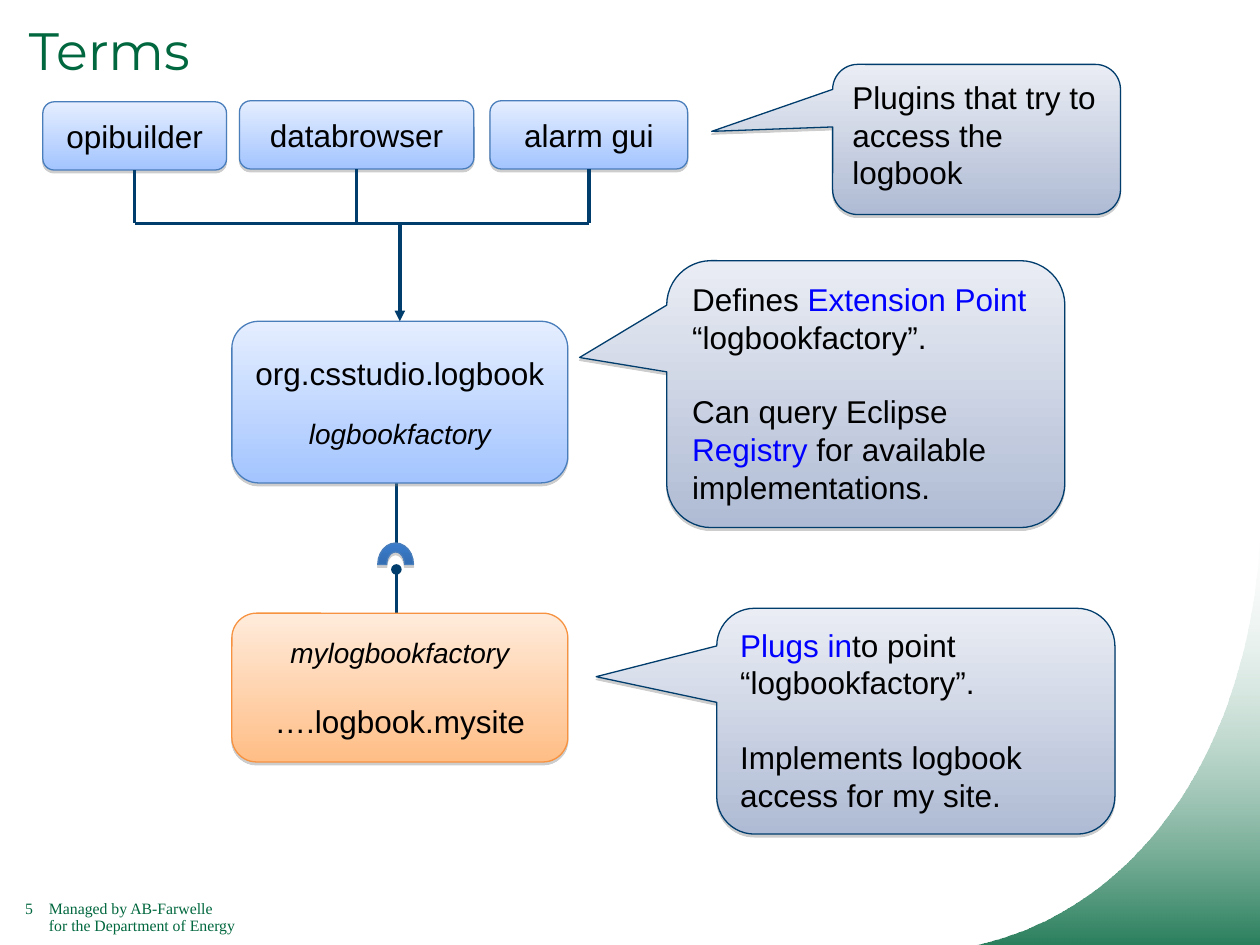
from lxml.etree import SubElement
from pptx import Presentation
from pptx.dml.color import RGBColor
from pptx.enum.shapes import MSO_CONNECTOR, MSO_SHAPE
from pptx.enum.text import MSO_ANCHOR, PP_ALIGN
from pptx.oxml.ns import qn
from pptx.util import Pt

THEME = {
    "font": "Arial", "title_font": "Montserrat", "footer_font": "Times New Roman",
    "title": 30, "body": 18, "point": 16, "footer": 9,
    "text": "000000", "term": "0000FF", "title_color": "00673E", "green": "01673E",
    "connector": "003D6C", "connector_width": 2, "outline_width": 0.75,
    # Top colour, bottom colour, outline
    "blue": ("E5EEFF", "A3C4FF", "4A7EBB"),
    "orange": ("FFEBDB", "FFBE86", "F69240"),
    "gray": ("EAEDF4", "AFBBD4", "003C6C"),
    "socket": ("3A7CCB", "2C5D98", "4A7EBB"),
}

TITLE = "Terms"
FOOTER = "5\tManaged by AB-Farwelle\vfor the Department of Energy"

# A paragraph is (runs, size, italic, space before); a run is (text, colour)
PLUGINS = [
    ("opibuilder", (24.5, 58.2, 105, 39)),
    ("databrowser", (136.8, 57.6, 134, 39)),
    ("alarm gui", (280, 57.6, 113, 39)),
]
LOGBOOK = [([("org.csstudio.logbook", "text")], "body", False, 0),
           ([("logbookfactory", "text")], "point", True, 14)]
MYSITE = [([("mylogbookfactory", "text")], "point", True, 0),
          ([("….logbook.mysite", "text")], "body", False, 18.4)]
CALLOUTS = [
    ((381, 149, 227.5, 152.5), (-0.719, -0.137), [
        ([("Defines ", "text"), ("Extension Point ", "term"),
          ("“logbookfactory”.", "text")], "body", False, 0),
        ([("Can query Eclipse ", "text"), ("Registry", "term"),
          (" for available implementations.", "text")], "body", False, 21)]),
    ((409.6, 347.6, 227.5, 129), (-0.803, -0.197), [
        ([("Plugs in", "term"), ("to point “logbookfactory”.", "text")],
         "body", False, 0),
        ([("Implements logbook access for my site.", "text")], "body", False, 21)]),
    ((475.8, 36.8, 164.5, 85.8), (-0.92, -0.054), [
        ([("Plugins that try to access the logbook", "text")], "body", False, 0)]),
]
LOGBOOK_BOX = (132.5, 183.6, 192, 92.4)
MYSITE_BOX = (132.5, 350.4, 192, 85)
SOCKET_BOX = (215.9, 310.3, 20.4, 24.5)
PIN_X, PIN_Y = 226.5, 325.4
BUS_Y = 127.6
# Bezier control points of the corner curve, from top right to bottom
CORNER = [(720, 285), (720, 420.5), (653.8, 518.4), (557.3, 540)]


def rgb(name):
    return RGBColor.from_string(THEME.get(name, name))


def gradient(sp, top, bottom):
    sp.fill.gradient()
    sp.fill.gradient_angle = 270
    stops = sp.fill.gradient_stops
    for stop, color, position in zip(stops, (top, bottom), (0, 1)):
        stop.color.rgb = rgb(color)
        stop.position = position


def style(sp, look, alpha=38):
    top, bottom, outline = THEME[look]
    gradient(sp, top, bottom)
    sp.line.color.rgb = rgb(outline)
    sp.line.width = Pt(THEME["outline_width"])
    # Hard shadow just below the shape
    sp.shadow.inherit = False
    effects = sp._element.spPr.find(qn("a:effectLst"))
    shadow = SubElement(effects, qn("a:outerShdw"), blurRad="0",
                        dist=str(Pt(1.6)), dir="5400000", rotWithShape="0")
    color = SubElement(shadow, qn("a:srgbClr"), val="808080")
    SubElement(color, qn("a:alpha"), val=str(alpha * 1000))


def write(sp, paragraphs, align, anchor):
    tf = sp.text_frame
    tf.word_wrap = True
    tf.vertical_anchor = anchor
    for i, (runs, size, italic, before) in enumerate(paragraphs):
        p = tf.paragraphs[0] if i == 0 else tf.add_paragraph()
        p.alignment = align
        if before:
            p.space_before = Pt(before)
        p.font.name, p.font.size = THEME["font"], Pt(THEME[size])
        p.font.italic = italic
        for text, color in runs:
            r = p.add_run()
            r.text = text
            r.font.color.rgb = rgb(color)


def add_shape(slide, kind, box, look):
    sp = slide.shapes.add_shape(kind, *map(Pt, box))
    style(sp, look)
    return sp


def add_box(slide, box, look, paragraphs):
    sp = add_shape(slide, MSO_SHAPE.ROUNDED_RECTANGLE, box, look)
    write(sp, paragraphs, PP_ALIGN.CENTER, MSO_ANCHOR.MIDDLE)
    return sp


def add_callout(slide, box, tip, paragraphs):
    sp = add_shape(slide, MSO_SHAPE.ROUNDED_RECTANGULAR_CALLOUT, box, "gray")
    sp.adjustments[0], sp.adjustments[1] = tip
    write(sp, paragraphs, PP_ALIGN.LEFT, MSO_ANCHOR.TOP)


def add_line(slide, x1, y1, x2, y2, end=None):
    line = slide.shapes.add_connector(MSO_CONNECTOR.STRAIGHT,
                                      *map(Pt, (x1, y1, x2, y2)))
    line.line.color.rgb = rgb("connector")
    line.line.width = Pt(THEME["connector_width"])
    if end:
        SubElement(line.line._get_or_add_ln(), qn("a:tailEnd"), type=end)
    SubElement(line._element.spPr, qn("a:effectLst"))
    return line


def add_label(slide, box, text, size, font, color, spacing):
    tf = slide.shapes.add_textbox(*map(Pt, box)).text_frame
    tf.word_wrap = True
    p = tf.paragraphs[0]
    p.text, p.line_spacing = text, spacing
    p.font.name, p.font.size = THEME[font], Pt(THEME[size])
    p.font.color.rgb = rgb(color)
    return p


def add_corner(slide):
    def bezier(t):
        weights = ((1 - t) ** 3, 3 * t * (1 - t) ** 2, 3 * t * t * (1 - t), t ** 3)
        return tuple(Pt(sum(w * c[k] for w, c in zip(weights, CORNER)))
                     for k in (0, 1))

    curve = [bezier(i / 40) for i in range(41)]
    builder = slide.shapes.build_freeform(Pt(720), Pt(540), scale=1.0)
    builder.add_line_segments(curve, close=True)
    sp = builder.convert_to_shape()
    gradient(sp, "FFFFFF", "green")
    sp.line.fill.background()
    sp.shadow.inherit = False
    for color, alpha in zip(sp._element.spPr.iter(qn("a:srgbClr")), (0, 84)):
        SubElement(color, qn("a:alpha"), val=str(alpha * 1000))


def main():
    prs = Presentation()
    prs.slide_width, prs.slide_height = Pt(720), Pt(540)
    slide = prs.slides.add_slide(prs.slide_layouts[6])

    # Footer, corner and title
    p = add_label(slide, (7.2, 511.2, 140, 21.6), FOOTER, "footer",
                  "footer_font", "green", 0.9)
    indent = Pt(13.7)
    p._p.get_or_add_pPr().set("marL", str(indent))
    p._p.get_or_add_pPr().set("indent", str(-indent))
    add_corner(slide)
    add_label(slide, (9.4, 12.2, 691, 39.6), TITLE, "title",
              "title_font", "title_color", 0.85)

    # Extension point with its socket, and the plug from the site
    add_line(slide, PIN_X, LOGBOOK_BOX[1] + LOGBOOK_BOX[3], PIN_X, SOCKET_BOX[1])
    logbook = add_box(slide, LOGBOOK_BOX, "blue", LOGBOOK)
    add_shape(slide, MSO_SHAPE.BLOCK_ARC, SOCKET_BOX, "socket")
    add_line(slide, PIN_X, MYSITE_BOX[1], PIN_X, PIN_Y, "oval")
    add_box(slide, MYSITE_BOX, "orange", MYSITE)

    # Plugins, each dropping to a shared bus
    centers = []
    for name, box in PLUGINS:
        sp = add_box(slide, box, "blue", [([(name, "text")], "body", False, 0)])
        x = box[0] + box[2] / 2
        centers.append(x)
        add_line(slide, x, box[1] + box[3], x, BUS_Y).begin_connect(sp, 2)
    add_line(slide, centers[0], BUS_Y, centers[-1], BUS_Y)
    x = LOGBOOK_BOX[0] + LOGBOOK_BOX[2] / 2
    add_line(slide, x, BUS_Y, x, LOGBOOK_BOX[1], "triangle").end_connect(logbook, 0)

    # Explanations
    for box, tip, paragraphs in CALLOUTS:
        add_callout(slide, box, tip, paragraphs)

    prs.save("out.pptx")


if __name__ == "__main__":
    main()
